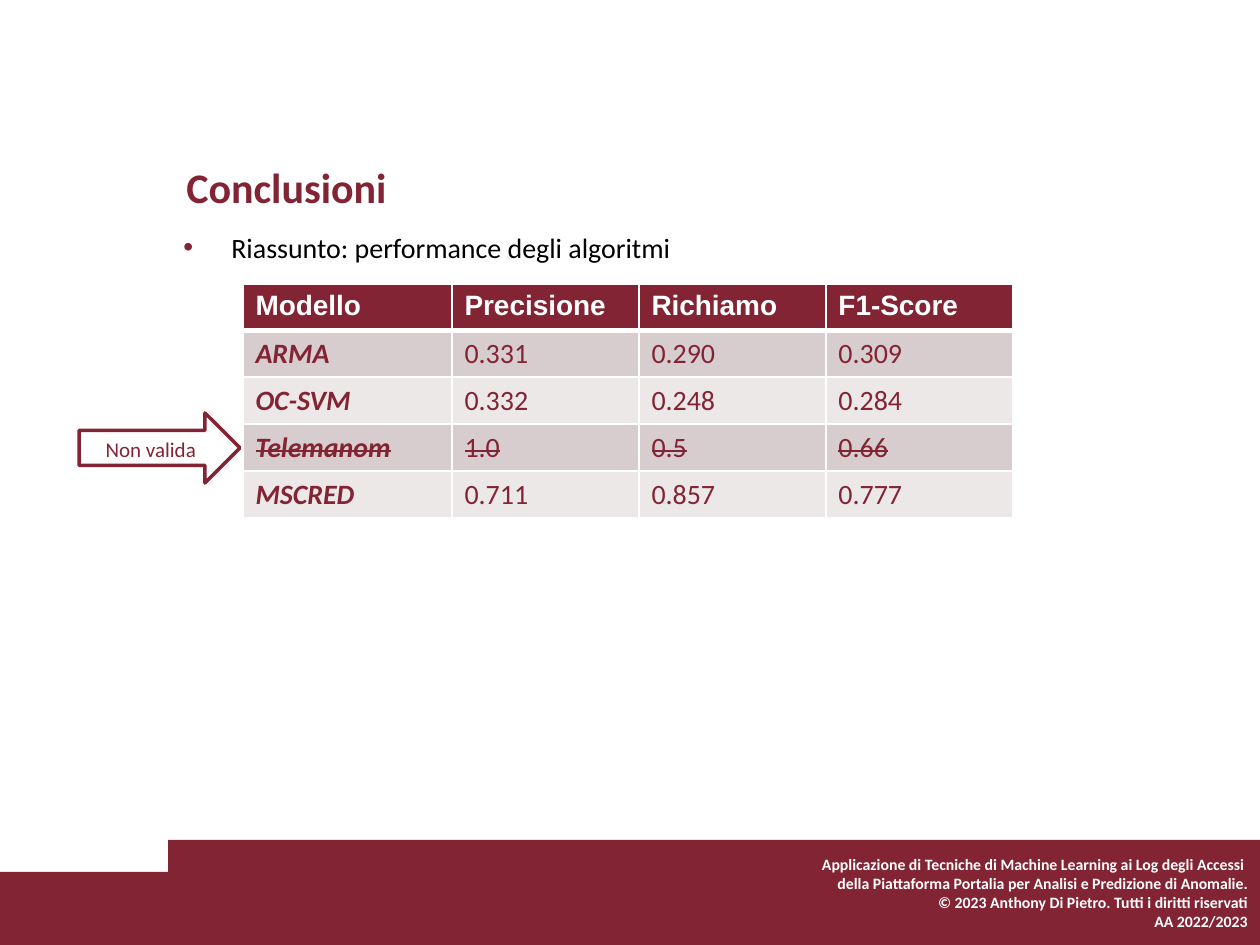
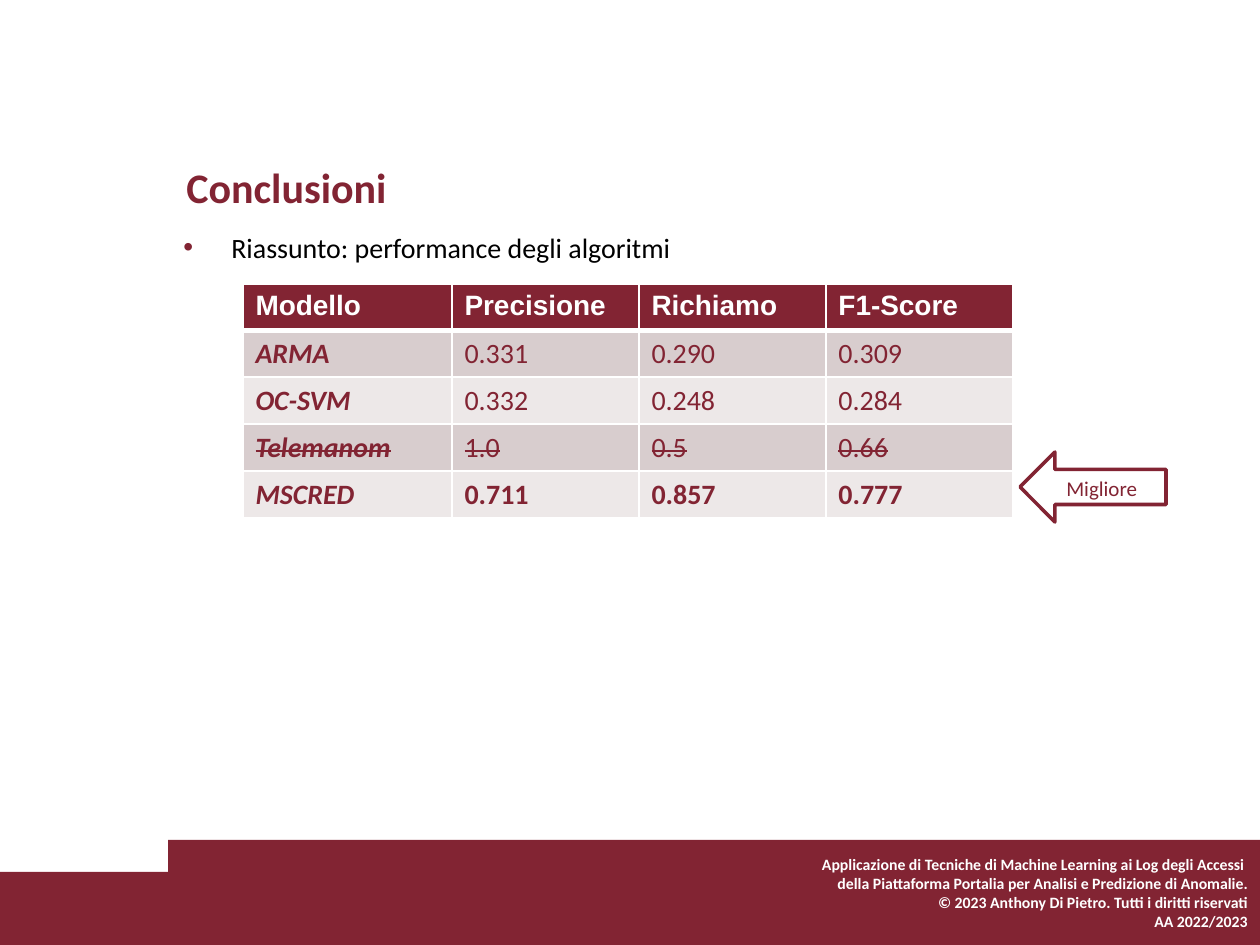
from lxml.etree import SubElement
from pptx import Presentation
from pptx.dml.color import RGBColor
from pptx.enum.shapes import MSO_SHAPE
from pptx.enum.text import MSO_ANCHOR, PP_ALIGN
from pptx.oxml.ns import qn
from pptx.util import Pt

PX = 914400 // 126  # EMU per px
WIDTH, HEIGHT = 1260, 945

MAROON, WHITE, BLACK = "822433", "FFFFFF", "000000"
ROW_FILLS = ("D8CDCE", "EDE8E8")

FOOTER = (
    "Applicazione di Tecniche di Machine Learning ai Log degli Accessi ",
    "della Piattaforma Portalia per Analisi e Predizione di Anomalie.",
    "© 2023 Anthony Di Pietro. Tutti i diritti riservati",
    "AA 2022/2023",
)
HEADER = ("Modello", "Precisione", "Richiamo", "F1-Score")
SCORES = (
    ("ARMA", "0.331", "0.290", "0.309"),
    ("OC-SVM", "0.332", "0.248", "0.284"),
    ("Telemanom", "1.0", "0.5", "0.66"),
    ("MSCRED", "0.711", "0.857", "0.777"),
)
INVALID = "Telemanom"
BEST = "MSCRED"


def px(*lengths):
    return [round(n * PX) for n in lengths]


def rgb(color):
    return RGBColor.from_string(color)


def write(tf, *lines, size=16, font="Calibri", color=MAROON, bold=False,
          italic=False, strike=False, align=PP_ALIGN.LEFT):
    """Put each line in its own paragraph, all in one format."""
    for i, line in enumerate(lines):
        p = tf.add_paragraph() if i else tf.paragraphs[0]
        p.alignment = align
        r = p.add_run()
        r.text = line
        r.font.size = Pt(size)
        r.font.name = font
        r.font.color.rgb = rgb(color)
        r.font.bold = bold
        r.font.italic = italic
        if strike:
            r.font._element.set("strike", "sngStrike")


def add_bullet(p, indent):
    pPr = p._p.get_or_add_pPr()
    pPr.set("marL", str(indent * PX))
    pPr.set("indent", str(-indent * PX))
    color = SubElement(pPr, qn("a:buClr"))
    SubElement(color, qn("a:srgbClr"), val=MAROON)
    SubElement(pPr, qn("a:buFont"), typeface="Arial")
    SubElement(pPr, qn("a:buChar"), char="•")


def set_borders(cell, **widths):
    """Draw white borders; widths in points, keyed by side L, R, T, B."""
    tcPr = cell._tc.get_or_add_tcPr()
    for side, width in widths.items():
        ln = SubElement(tcPr, qn(f"a:ln{side}"), w=str(Pt(width)))
        fill = SubElement(ln, qn("a:solidFill"))
        SubElement(fill, qn("a:srgbClr"), val=WHITE)


class Deck:
    def __init__(self):
        self.prs = Presentation()
        self.prs.slide_width, self.prs.slide_height = px(WIDTH, HEIGHT)
        self.s = None

    def new_slide(self, title):
        self.s = self.prs.slides.add_slide(self.prs.slide_layouts[6])
        self.shape(MSO_SHAPE.RECTANGLE, 0, 872, WIDTH, 73)
        band = self.shape(MSO_SHAPE.RECTANGLE, 168, 840, WIDTH - 168, 105)
        write(band.text_frame, *FOOTER, size=9, color=WHITE, bold=True,
              align=PP_ALIGN.RIGHT)
        write(self.text_box(174, 155, 1022, 69), title, size=24, bold=True)

    def shape(self, kind, *box, fill=MAROON, line=None):
        sp = self.s.shapes.add_shape(kind, *px(*box))
        sp.shadow.inherit = False
        sp.fill.solid()
        sp.fill.fore_color.rgb = rgb(fill)
        if line:
            sp.line.color.rgb = rgb(line)
            sp.line.width = Pt(2)
        else:
            sp.line.fill.background()
        return sp

    def text_box(self, *box):
        tf = self.s.shapes.add_textbox(*px(*box)).text_frame
        tf.word_wrap = True
        return tf

    def bullet(self, text):
        tf = self.text_box(171, 224, 1022, 635)
        write(tf, text, color=BLACK)
        add_bullet(tf.paragraphs[0], 48)

    def arrow(self, kind, text, *box):
        sp = self.shape(kind, *box, fill=WHITE, line=MAROON)
        sp.text_frame.vertical_anchor = MSO_ANCHOR.TOP
        write(sp.text_frame, text, size=12, align=PP_ALIGN.CENTER)

    def score_table(self, bold_row=None):
        widths, heights = (209, 187, 187, 187), (44, 47, 47, 47, 47)
        table = self.s.shapes.add_table(
            len(heights), len(widths),
            *px(243, 284, sum(widths), sum(heights))).table
        table.horz_banding = False
        for col, width in zip(table.columns, px(*widths)):
            col.width = width
        for row, height in zip(table.rows, px(*heights)):
            row.height = height
        for i, values in enumerate((HEADER, *SCORES)):
            for j, text in enumerate(values):
                cell = table.cell(i, j)
                set_borders(cell, L=1, R=1, T=3 if i == 1 else 1,
                            B=3 if i == 0 else 1)
                cell.fill.solid()
                if i == 0:
                    cell.fill.fore_color.rgb = rgb(MAROON)
                    write(cell.text_frame, text, font="Arial", color=WHITE,
                          bold=True)
                else:
                    cell.fill.fore_color.rgb = rgb(ROW_FILLS[(i - 1) % 2])
                    write(cell.text_frame, text, italic=j == 0,
                          bold=j == 0 or values[0] == bold_row,
                          strike=values[0] == INVALID)


def main():
    deck = Deck()
    arrows = (
        (None, MSO_SHAPE.RIGHT_ARROW, "Non valida", 79, 413, 161, 70),
        (BEST, MSO_SHAPE.LEFT_ARROW, "Migliore", 1020, 452, 146, 70),
    )
    for bold_row, *arrow in arrows:
        deck.new_slide("Conclusioni")
        deck.bullet("Riassunto: performance degli algoritmi")
        deck.score_table(bold_row)
        deck.arrow(*arrow)
    deck.prs.save("out.pptx")


if __name__ == "__main__":
    main()
